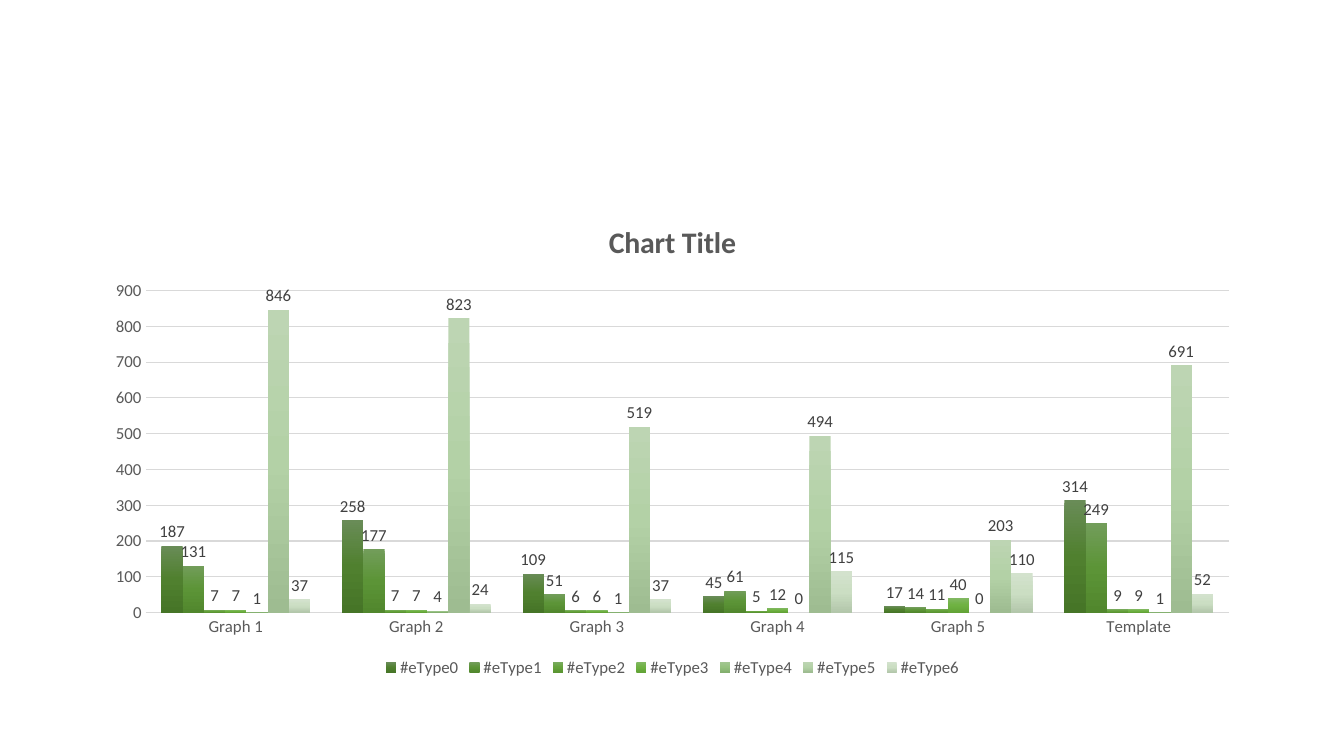
from lxml import etree
from pptx import Presentation, util as u
from pptx.chart.data import CategoryChartData
from pptx.dml.color import RGBColor
from pptx.enum import chart as ch
from pptx.oxml import ns

SLIDE_W, SLIDE_H = u.Inches(13.33), u.Inches(7.5)
FONT = "Calibri"
COLOURS = {"background": "FFFFFF", "text": "595959", "label": "404040", "line": "D9D9D9"}

GRAPHS = ["Graph 1", "Graph 2", "Graph 3", "Graph 4", "Graph 5", "Template"]
# Event type: values per graph, then top, middle and bottom colour of its bars
EVENT_TYPES = {
    "#eType0": ([187, 258, 109, 45, 17, 314], ["698C57", "50802F", "467527"]),
    "#eType1": ([131, 177, 51, 61, 14, 249], ["729D5A", "5C9437", "51872D"]),
    "#eType2": ([7, 7, 6, 5, 11, 9], ["79AB5E", "66A33C", "5A9532"]),
    "#eType3": ([7, 7, 6, 12, 40, 9], ["81B861", "6FB242", "62A336"]),
    "#eType4": ([1, 4, 1, 0, 0, 1], ["A2C691", "95C17F", "83AF6E"]),
    "#eType5": ([846, 823, 519, 494, 203, 691], ["BDD5B3", "B3D1A6", "9EBC91"]),
    "#eType6": ([37, 24, 37, 115, 110, 52], ["D3E2CD", "CBDEC3", "B3C7AB"]),
}


def rgb(name):
    return RGBColor.from_string(COLOURS[name])


def style_font(font, size, colour, bold=False):
    font.name, font.size, font.bold = FONT, u.Pt(size), bold
    font.color.rgb = rgb(colour)


def style_line(line, width):
    line.color.rgb = rgb("line")
    line.width = u.Pt(width)


def fill_downwards(series, colours):
    """Three-stop vertical gradient for the bars of one event type."""
    gradient = etree.SubElement(series._element.get_or_add_spPr(), ns.qn("a:gradFill"))
    stops = etree.SubElement(gradient, ns.qn("a:gsLst"))
    for index, colour in enumerate(colours):
        stop = etree.SubElement(stops, ns.qn("a:gs"), pos=str(index * 50000))
        etree.SubElement(stop, ns.qn("a:srgbClr"), val=colour)
    etree.SubElement(gradient, ns.qn("a:lin"), ang="5400000", scaled="0")


def style_axes(chart):
    graphs, counts = chart.category_axis, chart.value_axis
    for axis in (graphs, counts):
        axis.major_tick_mark = axis.minor_tick_mark = ch.XL_TICK_MARK.NONE
        style_font(axis.tick_labels.font, 12, "text")
    style_line(graphs.format.line, 1)
    counts.format.line.fill.background()
    counts.minimum_scale, counts.maximum_scale, counts.major_unit = 0, 900, 100
    counts.has_major_gridlines = True
    style_line(counts.major_gridlines.format.line, 0.75)


def add_event_chart(slide, left, top, width, height):
    event_data = CategoryChartData()
    event_data.categories = GRAPHS
    for name, (counts, _) in EVENT_TYPES.items():
        event_data.add_series(name, counts)
    chart = slide.shapes.add_chart(ch.XL_CHART_TYPE.COLUMN_CLUSTERED,
                                   left, top, width, height, event_data).chart
    style_font(chart.font, 10, "text")

    # Title
    chart.has_title = True
    heading = chart.chart_title.text_frame
    heading.text = "Chart Title"
    style_font(heading.paragraphs[0].runs[0].font, 21.3, "text", bold=True)
    chart.chart_title.include_in_layout = False

    # Legend
    chart.has_legend = True
    chart.legend.position = ch.XL_LEGEND_POSITION.BOTTOM
    chart.legend.include_in_layout = False
    style_font(chart.legend.font, 12, "text")

    style_axes(chart)

    # Bars and their values
    bars = chart.plots[0]
    bars.gap_width, bars.overlap, bars.vary_by_categories = 150, 0, False
    for series in bars.series:
        fill_downwards(series, EVENT_TYPES[series.name][1])
        series.invert_if_negative = False
        series.data_labels.show_value = True
        series.data_labels.position = ch.XL_LABEL_POSITION.OUTSIDE_END
        style_font(series.data_labels.font, 12, "label")


def main():
    deck = Presentation()
    deck.slide_width, deck.slide_height = SLIDE_W, SLIDE_H
    slide = deck.slides.add_slide(deck.slide_layouts[6])
    slide.background.fill.solid()
    slide.background.fill.fore_color.rgb = rgb("background")
    add_event_chart(slide, u.Inches(0.92), u.Inches(2), u.Inches(11.5), u.Inches(4.76))
    deck.save("out.pptx")


if __name__ == "__main__":
    main()
